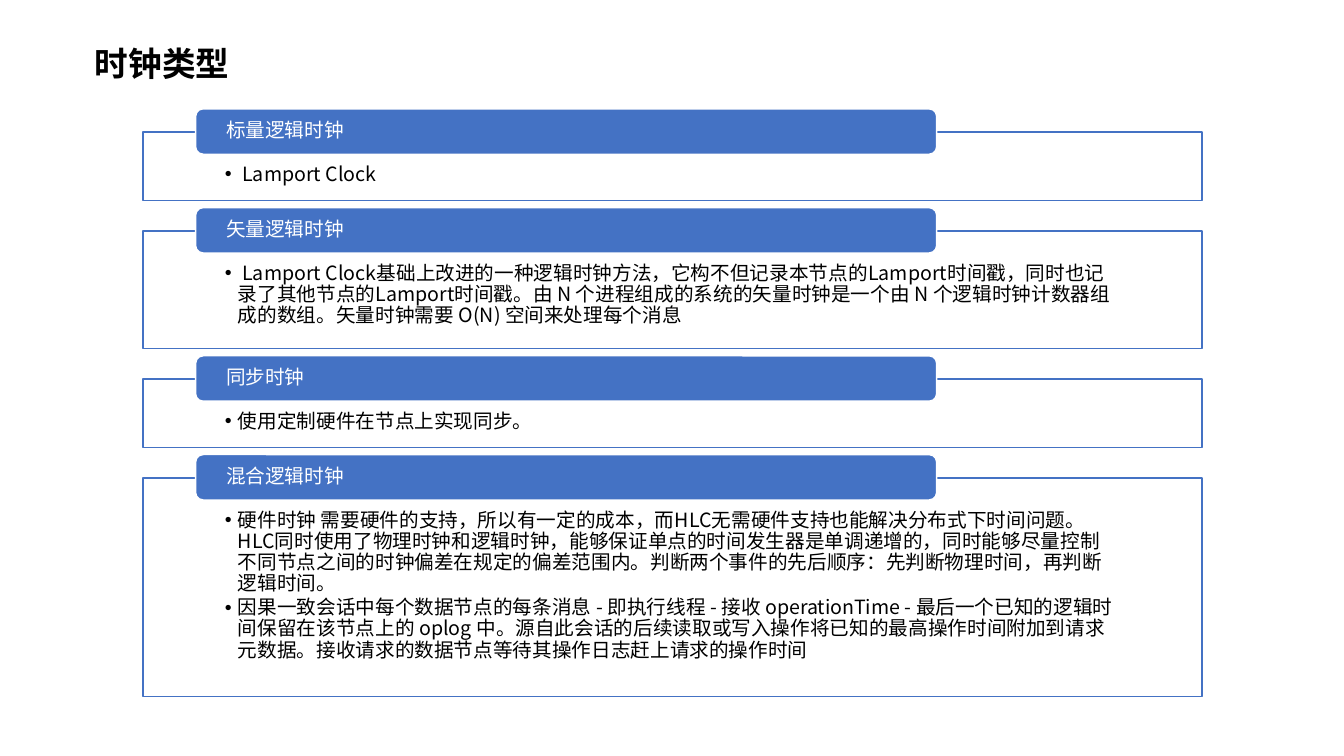
from dataclasses import dataclass

from lxml.etree import SubElement
from pptx import Presentation
from pptx.dml.color import RGBColor
from pptx.enum.shapes import MSO_SHAPE
from pptx.enum.text import MSO_ANCHOR, MSO_AUTO_SIZE, PP_ALIGN
from pptx.oxml.ns import qn
from pptx.util import Inches, Pt


@dataclass(frozen=True)
class Theme:
    font: str = "Noto Sans CJK SC"
    blue: RGBColor = RGBColor(0x44, 0x72, 0xC4)
    white: RGBColor = RGBColor(0xFF, 0xFF, 0xFF)
    black: RGBColor = RGBColor(0, 0, 0)
    title_size: Pt = Pt(24)
    text_size: Pt = Pt(14)
    line_width: Pt = Pt(1)


@dataclass(frozen=True)
class ClockType:
    name: str
    height: float
    points: tuple[str, ...]


THEME = Theme()
CLOCK_TYPES = (
    ClockType("标量逻辑时钟", 0.68, (" Lamport Clock",)),
    ClockType("矢量逻辑时钟", 1.17, (
        " Lamport Clock基础上改进的一种逻辑时钟方法，它构不但记录本节点的Lamport时间戳，"
        "同时也记录了其他节点的Lamport时间戳。由 N 个进程组成的系统的矢量时钟是一个由 N "
        "个逻辑时钟计数器组成的数组。矢量时钟需要 O(N) 空间来处理每个消息",
    )),
    ClockType("同步时钟", 0.68, ("使用定制硬件在节点上实现同步。",)),
    ClockType("混合逻辑时钟", 2.17, (
        "硬件时钟 需要硬件的支持，所以有一定的成本，而HLC无需硬件支持也能解决分布式下时间问题。"
        "HLC同时使用了物理时钟和逻辑时钟，能够保证单点的时间发生器是单调递增的，"
        "同时能够尽量控制不同节点之间的时钟偏差在规定的偏差范围内。"
        "判断两个事件的先后顺序：先判断物理时间，再判断逻辑时间。",
        "因果一致会话中每个数据节点的每条消息 - 即执行线程 - 接收 operationTime - "
        "最后一个已知的逻辑时间保留在该节点上的 oplog 中。"
        "源自此会话的后续读取或写入操作将已知的最高操作时间附加到请求元数据。"
        "接收请求的数据节点等待其操作日志赶上请求的操作时间",
    )),
)
FIRST_TOP, GAP, TAB_LIFT = 1.31, 0.3, 0.23


def place(shape, left: float, top: float, width: float, height: float) -> None:
    shape.left, shape.top = Inches(left), Inches(top)
    shape.width, shape.height = Inches(width), Inches(height)


def set_insets(frame, left: float, top: float, right: float, bottom: float) -> None:
    frame.margin_left, frame.margin_top = Inches(left), Inches(top)
    frame.margin_right, frame.margin_bottom = Inches(right), Inches(bottom)


def paint(shape, fill: RGBColor, line: RGBColor) -> None:
    shape.fill.solid()
    shape.fill.fore_color.rgb = fill
    shape.line.color.rgb = line
    shape.line.width = THEME.line_width


def style(paragraph, size: Pt, color: RGBColor, bold: bool = False) -> None:
    paragraph.alignment = PP_ALIGN.LEFT
    font = paragraph.font
    font.name, font.size, font.bold = THEME.font, size, bold
    font.color.rgb = color
    defaults = paragraph._p.pPr.find(qn("a:defRPr"))
    SubElement(defaults, qn("a:ea"), typeface=THEME.font)


def add_bullet(paragraph) -> None:
    properties = paragraph._p.get_or_add_pPr()
    properties.set("marL", str(Inches(0.13)))
    properties.set("indent", str(Inches(-0.13)))
    SubElement(properties, qn("a:buFont"), typeface="Arial")
    SubElement(properties, qn("a:buChar"), char="•")


def fill_panel(panel, clock: ClockType, top: float) -> None:
    place(panel, 1.42, top, 10.5, clock.height)
    paint(panel, THEME.white, THEME.blue)
    body = panel.text_frame
    body.text = "\n".join(clock.points)
    body.auto_size = MSO_AUTO_SIZE.NONE
    body.vertical_anchor = MSO_ANCHOR.TOP
    set_insets(body, 0.81, 0.32, 0.82, 0.11)
    for point in body.paragraphs:
        point.level = 1
        point.line_spacing = 0.9
        point.space_before, point.space_after = Pt(0), Pt(2.1)
        add_bullet(point)
        style(point, THEME.text_size, THEME.black)


def add_tab(slide, name: str, top: float) -> None:
    tab = slide.shapes.add_shape(MSO_SHAPE.ROUNDED_RECTANGLE, 0, 0, 0, 0)
    place(tab, 1.94, top, 7.35, 0.45)
    tab.shadow.inherit = False
    paint(tab, THEME.blue, THEME.white)
    label = tab.text_frame
    label.text = name
    label.word_wrap = True
    label.vertical_anchor = MSO_ANCHOR.MIDDLE
    set_insets(label, 0.28, 0, 0.28, 0)
    label.paragraphs[0].line_spacing = 0.9
    style(label.paragraphs[0], THEME.text_size, THEME.white)


def main() -> None:
    deck = Presentation()
    deck.slide_width, deck.slide_height = Inches(13.33), Inches(7.5)
    # The comparison layout holds a title and four body placeholders
    slide = deck.slides.add_slide(deck.slide_layouts[4])

    # Title
    title = slide.shapes.title
    place(title, 0.84, 0.38, 2.71, 0.5)
    title.text_frame.text = "时钟类型"
    title.text_frame.auto_size = MSO_AUTO_SIZE.SHAPE_TO_FIT_TEXT
    title.text_frame.vertical_anchor = MSO_ANCHOR.TOP
    style(title.text_frame.paragraphs[0], THEME.title_size, THEME.black, bold=True)

    # Clock types, stacked with equal gaps
    top = FIRST_TOP
    panels = list(slide.placeholders)[1:]
    for panel, clock in zip(panels, CLOCK_TYPES):
        fill_panel(panel, clock, top)
        add_tab(slide, clock.name, top - TAB_LIFT)
        top += clock.height + GAP

    deck.save("out.pptx")


if __name__ == "__main__":
    main()
